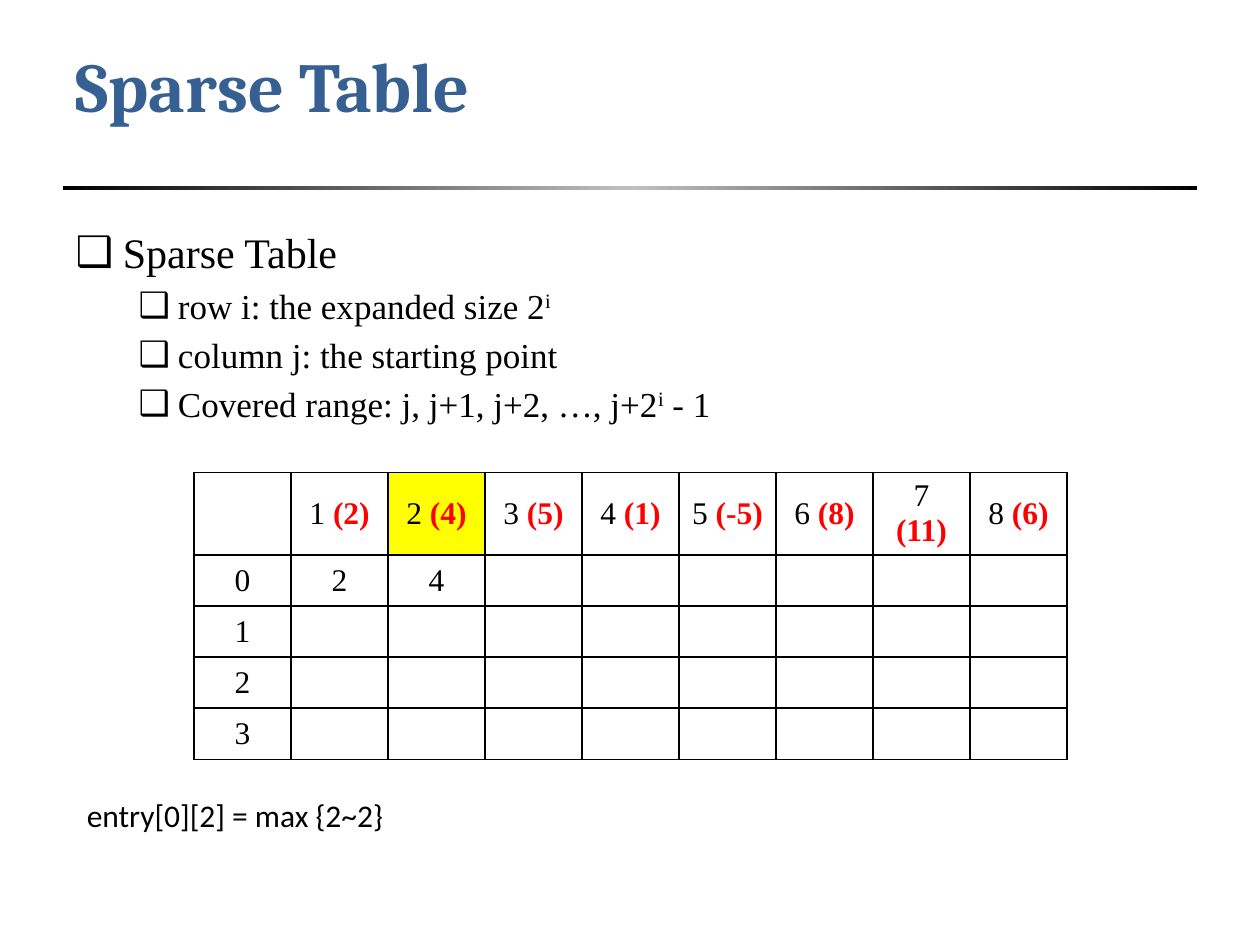
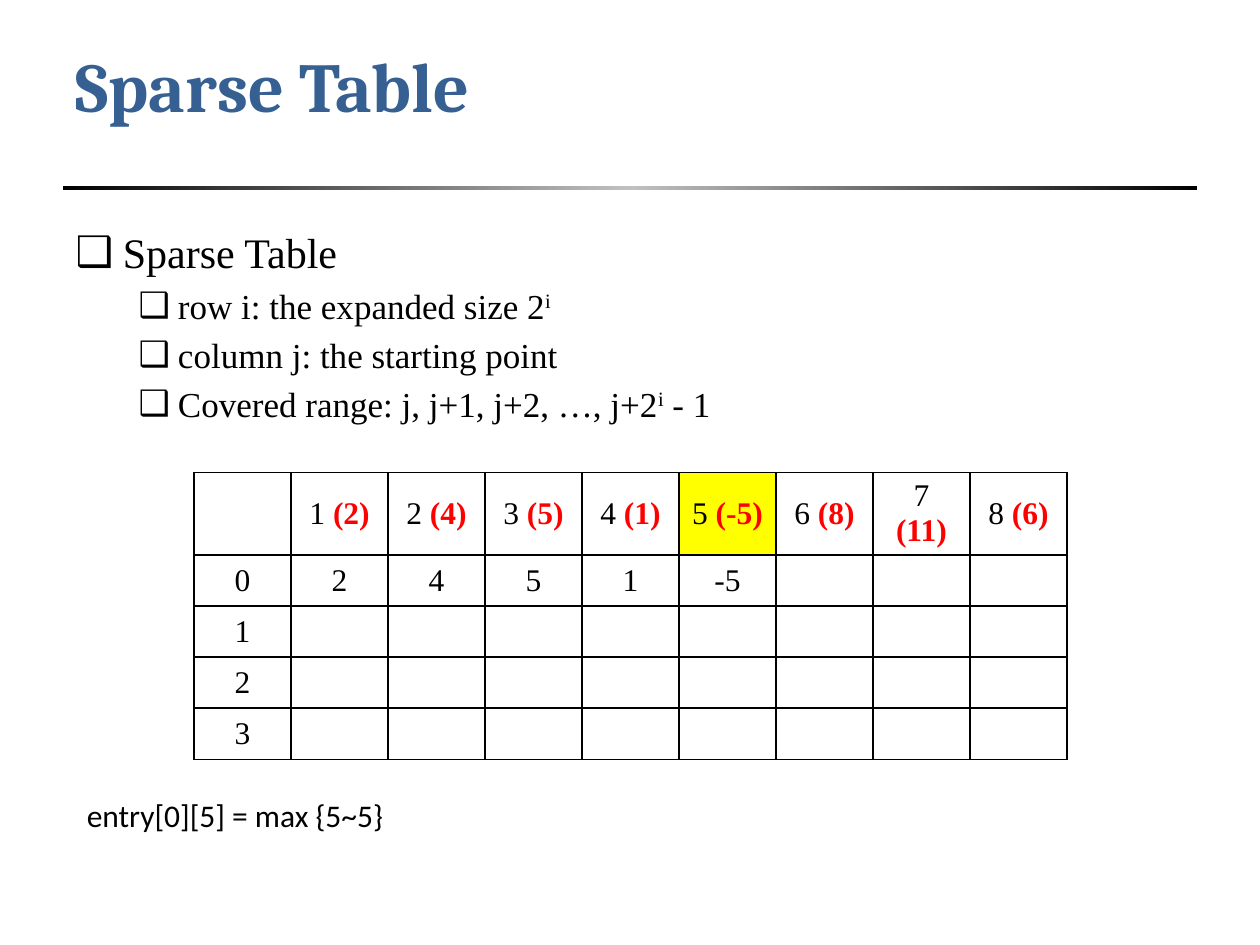
from dataclasses import dataclass

from lxml import etree
from pptx import Presentation
from pptx import util as u
from pptx.dml.color import RGBColor
from pptx.enum import shapes, text
from pptx.oxml import ns

COLORS = {
    "title": "376092",
    "ink": "000000",
    "value": "FF0000",
    "highlight": "FFFF00",
    "rule_middle": "C0C0C0",
}
SERIF, HEADING, SANS = "Times New Roman", "Cambria", "Calibri"
VALUES = [2, 4, 5, 1, -5, 8, 11, 6]
LEVELS = 4
COLUMN_WIDTH, ROW_HEIGHT = 55.44, 29.2


@dataclass(frozen=True)
class Frame:
    left: float
    top: float
    width: float
    height: float

    def lengths(self) -> list:
        return [u.Pt(side) for side in (self.left, self.top, self.width, self.height)]


@dataclass(frozen=True)
class Bullet:
    level: int
    size: float
    margin: float
    hanging: float
    before: float


@dataclass(frozen=True)
class Step:
    column: int
    body_height: float


TOPIC = Bullet(level=0, size=24, margin=27, hanging=27, before=0)
DETAIL = Bullet(level=1, size=20, margin=58.5, hanging=22.5, before=4)
BULLETS = [
    (TOPIC, ["Sparse Table"]),
    (DETAIL, ["row i: the expanded size 2", "i"]),
    (DETAIL, ["column j: the starting point"]),
    (DETAIL, ["Covered range: j, j+1, j+2, …, j+2", "i", " - 1"]),
]
STEPS = [Step(column=2, body_height=356.4), Step(column=5, body_height=156.24)]


def add_xml(parent, tag: str, **attributes):
    return etree.SubElement(parent, ns.qn(tag), attributes)


def add_color(parent, color: str) -> None:
    add_xml(parent, "a:srgbClr", val=COLORS[color])


def write(para, words: str, *, size: float = 18, font: str = SERIF,
          color: str = "ink", bold: bool = False, raised: bool = False) -> None:
    span = para.add_run()
    span.text = words
    span.font.size = u.Pt(size)
    span.font.name = font
    span.font.bold = bold
    span.font.color.rgb = RGBColor.from_string(COLORS[color])
    if raised:
        span.font._element.set("baseline", "30000")


def place(box, frame: Frame) -> None:
    box.left, box.top, box.width, box.height = frame.lengths()


def add_title(page) -> None:
    box = page.shapes.title
    place(box, Frame(36, 21.6, 648, 53.28))
    box.text_frame.auto_size = text.MSO_AUTO_SIZE.NONE
    box.text_frame.vertical_anchor = text.MSO_ANCHOR.MIDDLE
    para = box.text_frame.paragraphs[0]
    para.alignment = text.PP_ALIGN.LEFT
    write(para, "Sparse Table", size=40, font=HEADING, color="title", bold=True)


def add_rule(page) -> None:
    rule = page.shapes.add_shape(
        shapes.MSO_SHAPE.RECTANGLE, *Frame(36, 106.56, 648, 2.16).lengths())
    rule.shadow.inherit = False
    rule.line.fill.background()
    rule.fill.gradient()
    rule.fill.gradient_angle = 0
    stops = rule._element.spPr.find(".//" + ns.qn("a:gsLst"))
    for stop in list(stops):
        stops.remove(stop)
    for position, color in ((0, "ink"), (50, "rule_middle"), (100, "ink")):
        add_color(add_xml(stops, "a:gs", pos=str(position * 1000)), color)


def add_bullets(page, height: float) -> None:
    box = page.placeholders[1]
    place(box, Frame(36, 126, 648, height))
    frame = box.text_frame
    frame.auto_size = text.MSO_AUTO_SIZE.NONE
    for index, (style, parts) in enumerate(BULLETS):
        para = frame.add_paragraph() if index else frame.paragraphs[0]
        para.level = style.level
        para.space_before = u.Pt(style.before)
        properties = para._p.get_or_add_pPr()
        properties.set("marL", str(u.Pt(style.margin)))
        properties.set("indent", str(-u.Pt(style.hanging)))
        add_xml(properties, "a:buChar", char="❑")
        for position, part in enumerate(parts):
            write(para, part, size=style.size, raised=position == 1)


def style_cell(cell, highlighted: bool) -> None:
    cell.vertical_anchor = text.MSO_ANCHOR.MIDDLE
    properties = cell._tc.get_or_add_tcPr()
    for side in ("a:lnL", "a:lnR", "a:lnT", "a:lnB"):
        border = add_xml(properties, side, w=str(u.Pt(1)))
        add_color(add_xml(border, "a:solidFill"), "ink")
    if highlighted:
        cell.fill.solid()
        cell.fill.fore_color.rgb = RGBColor.from_string(COLORS["highlight"])
    else:
        cell.fill.background()


def add_sparse_table(page, current: int) -> None:
    rows, columns = LEVELS + 1, len(VALUES) + 1
    frame = Frame(110.88, 270, COLUMN_WIDTH * columns, ROW_HEIGHT * rows)
    table = page.shapes.add_table(rows, columns, *frame.lengths()).table
    table.first_row = table.horz_banding = False
    for column in table.columns:
        column.width = u.Pt(COLUMN_WIDTH)
    for row in table.rows:
        row.height = u.Pt(ROW_HEIGHT)
    for row in range(rows):
        for column in range(columns):
            cell = table.cell(row, column)
            style_cell(cell, row == 0 and column == current)
            para = cell.text_frame.paragraphs[0]
            para.alignment = text.PP_ALIGN.CENTER
            if row == 0 and column:
                write(para, f"{column} ")
                write(para, f"({VALUES[column - 1]})", color="value", bold=True)
            elif row and column == 0:
                write(para, str(row - 1))
            elif row == 1 and column <= current:
                write(para, str(VALUES[column - 1]))


def add_formula(page, column: int) -> None:
    box = page.shapes.add_textbox(*Frame(42.48, 451.44, 493.2, 28.8).lengths())
    box.text_frame.word_wrap = True
    write(box.text_frame.paragraphs[0],
          f"entry[0][{column}] = max {{{column}~{column}}}", font=SANS)


def build_page(deck, step: Step) -> None:
    page = deck.slides.add_slide(deck.slide_layouts[1])
    add_rule(page)
    add_title(page)
    add_sparse_table(page, step.column)
    add_bullets(page, step.body_height)
    add_formula(page, step.column)


def main() -> None:
    deck = Presentation()
    deck.slide_width, deck.slide_height = u.Pt(720), u.Pt(540)
    for step in STEPS:
        build_page(deck, step)
    deck.save("out.pptx")


if __name__ == "__main__":
    main()
